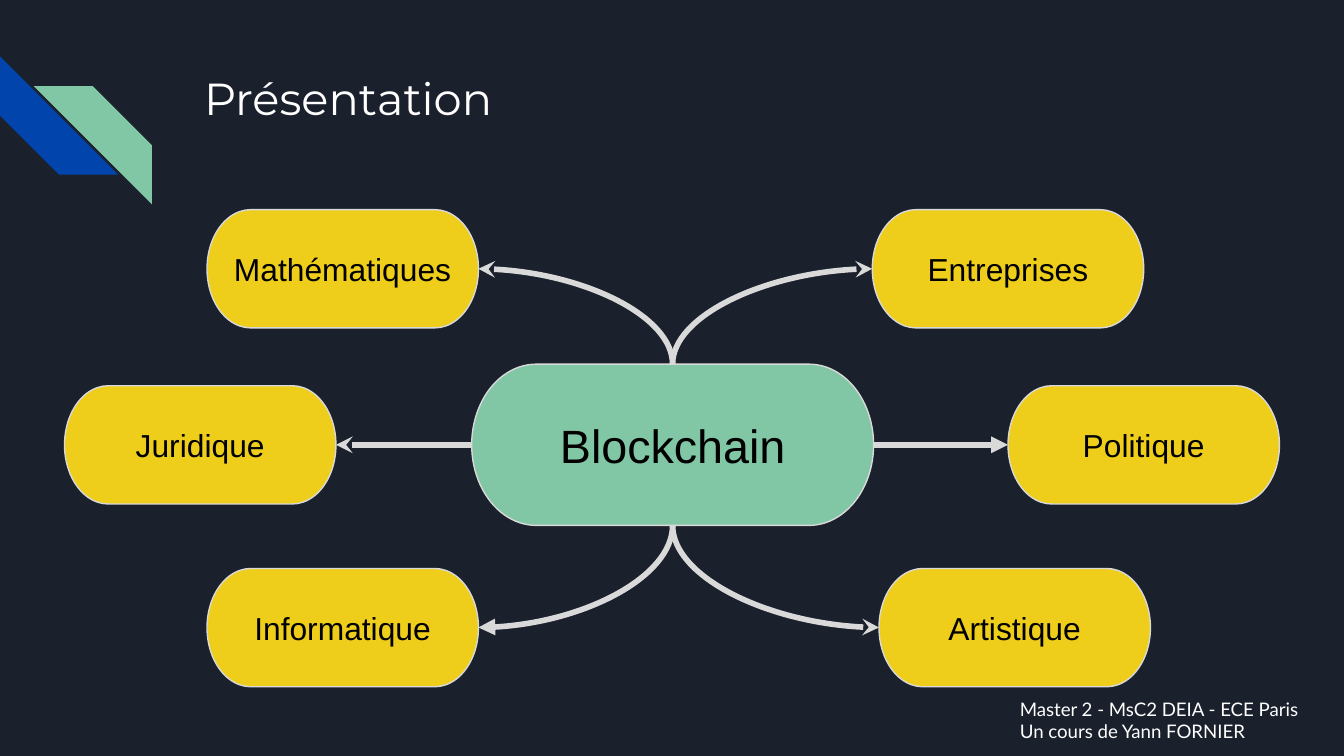
from typing import NamedTuple

from pptx import Presentation
from pptx.dml.color import RGBColor
from pptx.enum.shapes import MSO_CONNECTOR, MSO_SHAPE
from pptx.enum.text import MSO_ANCHOR, PP_ALIGN
from pptx.oxml.ns import qn
from pptx.util import Inches, Pt

NAVY, BLUE, GREEN = "1B212C", "0145AC", "82C7A5"
GOLD, GREY, WHITE, BLACK = "EECE1A", "D9D9D9", "FFFFFF", "000000"
TOP, LEFT, BOTTOM, RIGHT = range(4)


class Node(NamedTuple):
    text: str
    x: float
    y: float
    side: int  # side of the node that the arrow reaches
    port: int  # side of the hub that the arrow leaves
    tip: str


ROWS = (1.56, 2.87, 4.23)
NODES = [
    Node("Mathématiques", 1.54, ROWS[0], RIGHT, TOP, "stealth"),
    Node("Juridique", 0.48, ROWS[1], RIGHT, LEFT, "stealth"),
    Node("Informatique", 1.54, ROWS[2], RIGHT, BOTTOM, "triangle"),
    Node("Entreprises", 6.49, ROWS[0], LEFT, TOP, "stealth"),
    Node("Politique", 7.5, ROWS[1], LEFT, RIGHT, "triangle"),
    Node("Artistique", 6.54, ROWS[2], LEFT, BOTTOM, "stealth"),
]


def paint(fmt, code: str) -> None:
    fmt.solid()
    fmt.fore_color.rgb = RGBColor.from_string(code)


def write(shape, lines: list[str], size: float, font: str, code: str,
          align=PP_ALIGN.LEFT, anchor=MSO_ANCHOR.TOP) -> None:
    frame = shape.text_frame
    frame.word_wrap = True
    frame.vertical_anchor = anchor
    frame.margin_left = frame.margin_right = Inches(0.1)
    frame.margin_top = frame.margin_bottom = Inches(0.1)
    for i, line in enumerate(lines):
        para = frame.add_paragraph() if i else frame.paragraphs[0]
        para.alignment = align
        run = para.add_run()
        run.text = line
        run.font.size = Pt(size)
        run.font.name = font
        paint(run.font.fill, code)


def add_text(slide, x: float, y: float, w: float, h: float,
             lines: list[str], size: float, font: str) -> None:
    box = slide.shapes.add_textbox(Inches(x), Inches(y), Inches(w), Inches(h))
    write(box, lines, size, font, WHITE)


def add_stripe(slide, x: float, y: float, code: str):
    side = Inches(0.88)
    stripe = slide.shapes.add_shape(
        MSO_SHAPE.DIAGONAL_STRIPE, Inches(x), Inches(y), side, side)
    stripe.shadow.inherit = False
    stripe.adjustments[0] = 0.5
    paint(stripe.fill, code)
    stripe.line.fill.background()
    return stripe


def add_pill(slide, x: float, y: float, w: float, h: float,
             text: str, size: float, code: str):
    pill = slide.shapes.add_shape(
        MSO_SHAPE.FLOWCHART_TERMINATOR,
        Inches(x), Inches(y), Inches(w), Inches(h))
    pill.shadow.inherit = False
    paint(pill.fill, code)
    paint(pill.line.fill, GREY)
    pill.line.width = Pt(0.75)
    write(pill, [text], size, "Arial", BLACK,
          PP_ALIGN.CENTER, MSO_ANCHOR.MIDDLE)
    return pill


def add_arrow(slide, pill, hub, node: Node) -> None:
    curved = node.port in (TOP, BOTTOM)
    kind = MSO_CONNECTOR.CURVE if curved else MSO_CONNECTOR.STRAIGHT
    link = slide.shapes.add_connector(kind, 0, 0, 0, 0)
    link.begin_connect(pill, node.side)
    link.end_connect(hub, node.port)
    paint(link.line.fill, GREY)
    link.line.width = Pt(3)
    props = link._element.spPr
    if curved:  # a single bend: level at the node, upright at the hub
        props.find(qn("a:prstGeom")).set("prst", "curvedConnector2")
    line = props.find(qn("a:ln"))
    line.append(line.makeelement(qn("a:headEnd"), {"type": node.tip}))
    props.append(props.makeelement(qn("a:effectLst"), {}))


def main() -> None:
    deck = Presentation()
    deck.slide_width = Inches(10)
    deck.slide_height = Inches(10 * 9 / 16)
    slide = deck.slides.add_slide(deck.slide_layouts[6])
    paint(slide.background.fill, NAVY)

    # Corner stripes
    add_stripe(slide, 0, 0.42, BLUE).rotation = 270
    mint = add_stripe(slide, 0.25, 0.64, GREEN)
    mint._element.spPr.find(qn("a:xfrm")).set("flipH", "1")

    # Title
    add_text(slide, 1.42, 0.43, 7.7, 1, ["Présentation"], 24, "Montserrat")

    # Mind map
    hub = add_pill(slide, 3.51, 2.71, 2.99, 1.2, "Blockchain", 25, GREEN)
    for node in NODES:
        pill = add_pill(slide, node.x, node.y, 2.02, 0.88,
                        node.text, 17, GOLD)
        add_arrow(slide, pill, hub, node)

    # Course credit
    add_text(slide, 7.49, 5.09, 2.51, 0.54,
             ["Master 2 - MsC2 DEIA - ECE Paris", "Un cours de Yann FORNIER"],
             10, "Lato")

    deck.save("out.pptx")


if __name__ == "__main__":
    main()
